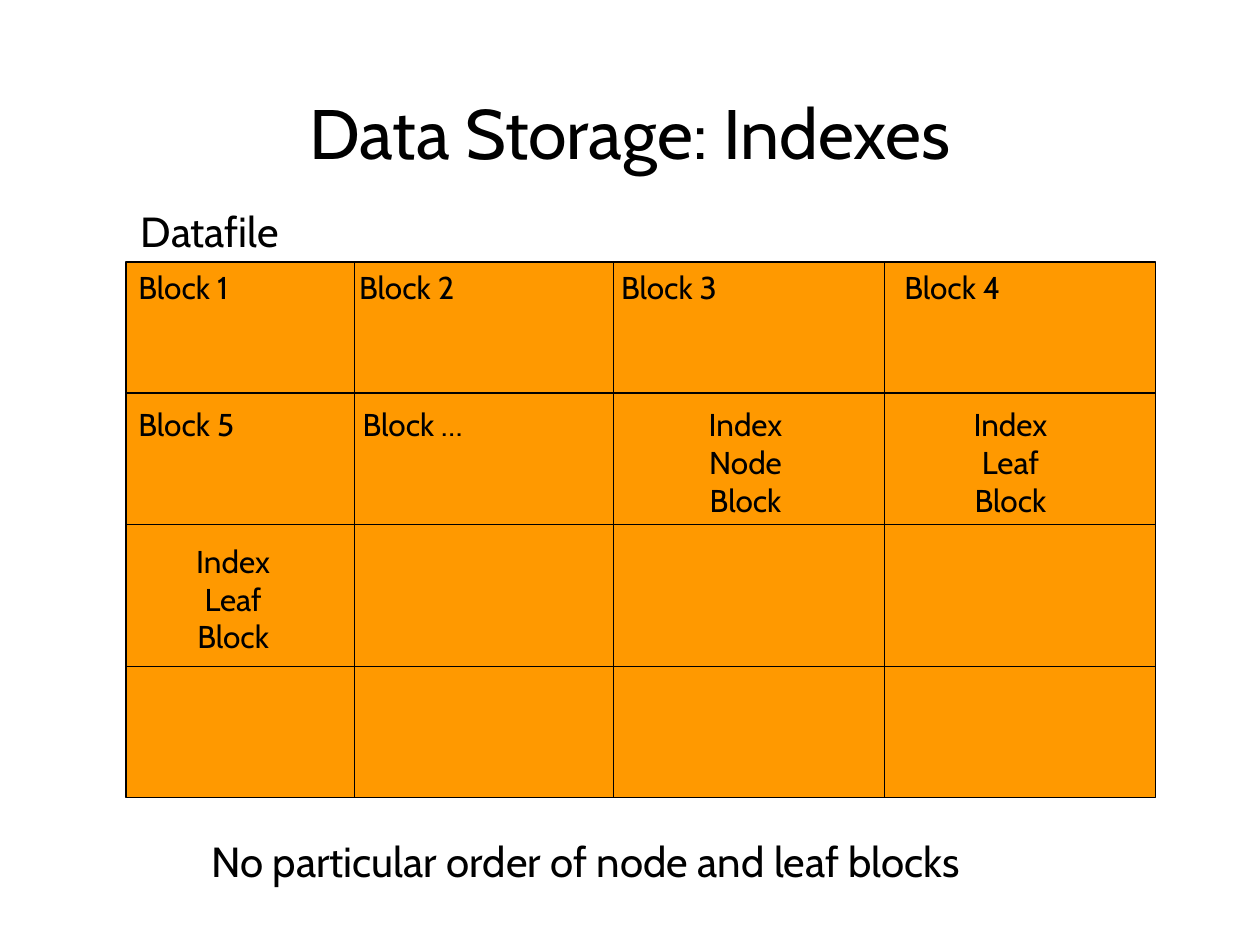
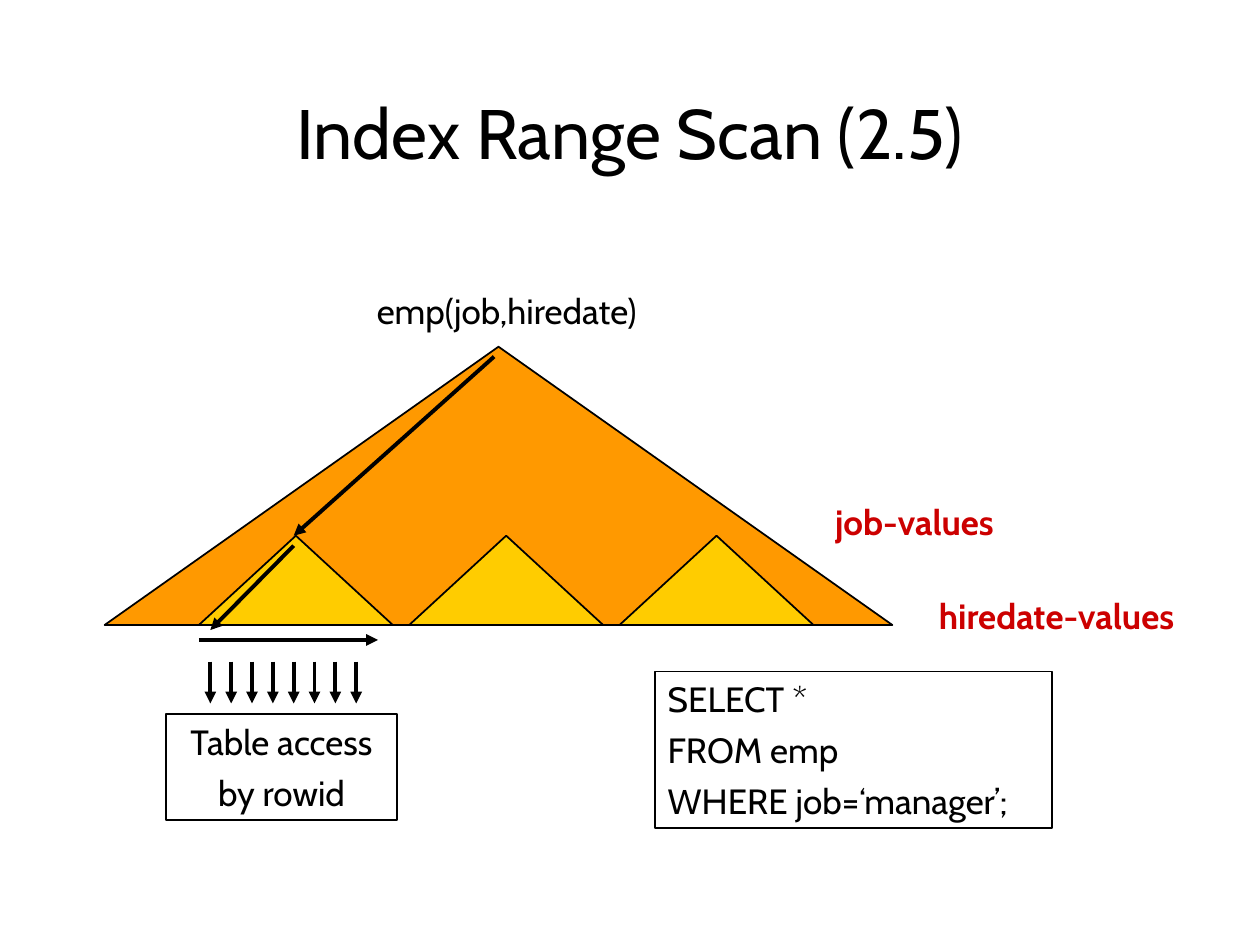
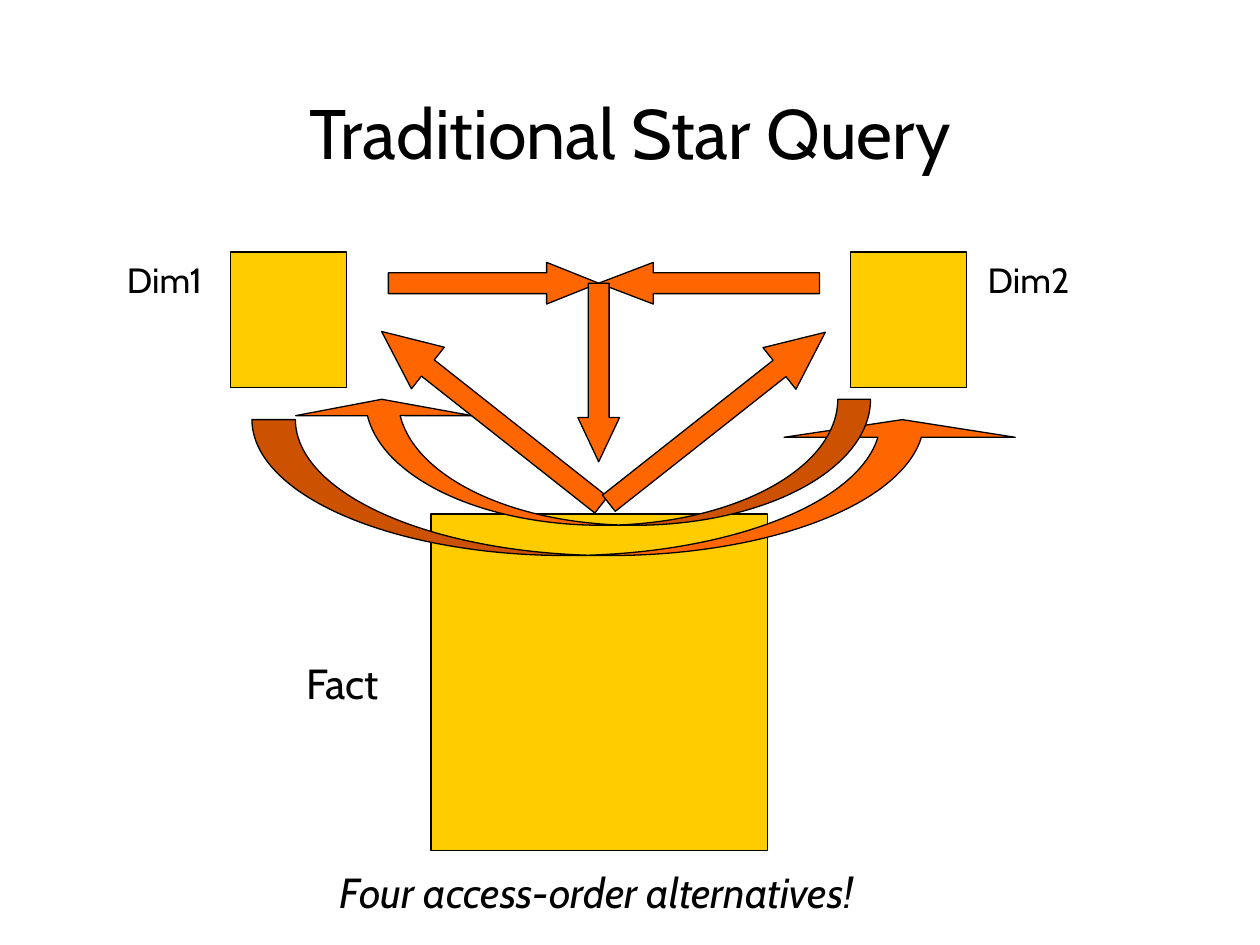
from lxml.etree import SubElement
from pptx import Presentation
from pptx.dml.color import RGBColor
from pptx.enum.shapes import MSO_CONNECTOR, MSO_SHAPE
from pptx.enum.text import MSO_ANCHOR, MSO_AUTO_SIZE, PP_ALIGN
from pptx.oxml.ns import qn
from pptx.util import Cm, Pt

BLACK = RGBColor(0x00, 0x00, 0x00)
RED = RGBColor(0xCC, 0x00, 0x00)
AMBER = RGBColor(0xFF, 0x99, 0x00)
YELLOW = RGBColor(0xFF, 0xCC, 0x00)
ORANGE = RGBColor(0xFF, 0x66, 0x00)
FONT = "Cabin"
TITLE_LAYOUT = 5
LEFT, CENTER = PP_ALIGN.LEFT, PP_ALIGN.CENTER


def write(frame, text, size=20, color=BLACK, bold=False, italic=False,
          align=LEFT, gap=0):
    for index, line in enumerate(text.split("\n")):
        para = frame.paragraphs[0] if index == 0 else frame.add_paragraph()
        para.alignment = align
        if index and gap:
            para.space_before = Pt(gap)
        span = para.add_run()
        span.text = line
        font = span.font
        font.name = FONT
        font.size = Pt(size)
        font.bold = bold
        font.italic = italic
        font.color.rgb = color


def outline(item, width):
    item.line.color.rgb = BLACK
    item.line.width = Pt(width)


def prepare_layout(deck):
    layout = deck.slide_layouts[TITLE_LAYOUT]
    title = layout.placeholders[0]
    title.left, title.top = Cm(1.9), Cm(1.7)
    title.width, title.height = Cm(21.6), Cm(1.9)
    return layout


def add_page(deck, layout, heading):
    page = deck.slides.add_slide(layout)
    frame = page.shapes.title.text_frame
    frame.vertical_anchor = MSO_ANCHOR.MIDDLE
    frame.auto_size = MSO_AUTO_SIZE.NONE
    write(frame, heading, size=40, align=CENTER)
    return page


def add_label(page, text, left, top, width, height, border=None, **style):
    box = page.shapes.add_textbox(Cm(left), Cm(top), Cm(width), Cm(height))
    frame = box.text_frame
    frame.word_wrap = False
    frame.auto_size = MSO_AUTO_SIZE.SHAPE_TO_FIT_TEXT
    write(frame, text, **style)
    if border:
        outline(box, border)


def add_figure(page, kind, left, top, width, height, fill, border=0.75,
               adjustments=(), rotation=0, mirrored=False):
    figure = page.shapes.add_shape(kind, Cm(left), Cm(top), Cm(width), Cm(height))
    figure.shadow.inherit = False
    figure.fill.solid()
    figure.fill.fore_color.rgb = fill
    outline(figure, border)
    for index, value in enumerate(adjustments):
        figure.adjustments[index] = value
    figure.rotation = rotation
    if mirrored:
        figure._element.spPr.xfrm.set("flipH", "1")


def add_line(page, start, end, width=0.75, arrow=False):
    line = page.shapes.add_connector(
        MSO_CONNECTOR.STRAIGHT, *[Cm(value) for value in (*start, *end)])
    outline(line, width)
    if arrow:
        SubElement(line.line._get_or_add_ln(), qn("a:tailEnd"), type="triangle")
    SubElement(line._element.spPr, qn("a:effectLst"))


def add_arrow(page, start, end):
    add_line(page, start, end, width=2.25, arrow=True)


def add_grid(page, columns, rows):
    left, right, top, bottom = columns[0], columns[-1], rows[0], rows[-1]
    add_figure(page, MSO_SHAPE.RECTANGLE, left, top, right - left, bottom - top, AMBER)
    for y in rows[1:-1]:
        add_line(page, (left, y), (right, y))
    for x in columns[1:-1]:
        add_line(page, (x, top), (x, bottom))


def fill_storage(page):
    add_grid(page, columns=(2.54, 7.14, 12.37, 17.83, 23.29),
             rows=(5.28, 7.92, 10.57, 13.44, 16.08))
    add_label(page, "Datafile", 2.59, 4.01, 3.58, 1.27, size=24)
    for text, left, top in (
        ("Block 1", 2.54, 5.28),
        ("Block 5", 2.54, 8.05),
        ("Block 2", 6.99, 5.28),
        ("Block 3", 12.27, 5.28),
        ("Block 4", 17.98, 5.28),
        ("Block …", 7.06, 8.05),
    ):
        add_label(page, text, left, top, 2.65, 1.02, size=18)
    for role, left, top in (
        ("Node", 13.94, 8.05),
        ("Leaf", 19.28, 8.05),
        ("Leaf", 3.61, 10.8),
    ):
        add_label(page, f"Index\n{role}\nBlock", left, top, 2.18, 2.54,
                  size=18, align=CENTER)
    add_label(page, "No particular order of node and leaf blocks",
              4.01, 16.71, 17.58, 1.27, size=24)


def fill_range_scan(page):
    triangle = MSO_SHAPE.FLOWCHART_EXTRACT
    add_figure(page, triangle, 2.11, 6.99, 15.88, 5.61, AMBER, border=1)
    for index in range(3):
        add_figure(page, triangle, 4.01 + 4.24 * index, 10.8, 3.91, 1.8,
                   YELLOW, border=1)
    add_arrow(page, (9.96, 7.19), (5.92, 10.8))
    add_arrow(page, (5.92, 11), (4.24, 12.7))
    add_arrow(page, (4.01, 12.9), (7.62, 12.9))
    add_label(page, "emp(job,hiredate)", 6.99, 5.72, 6.45, 1.12, align=CENTER)
    add_label(page, "job-values", 16.38, 9.96, 4.11, 1.12,
              color=RED, bold=True, align=CENTER)
    add_label(page, "hiredate-values", 18.29, 11.86, 6.02, 1.12,
              color=RED, bold=True, align=CENTER)
    add_label(page, "SELECT *\nFROM emp\nWHERE job=‘manager’;",
              13.21, 13.54, 8, 3.15, border=1, gap=5)
    for index in range(8):
        x = 4.24 + 0.42 * index
        add_arrow(page, (x, 13.34), (x, 14.18))
    add_label(page, "Table access\nby rowid", 3.35, 14.4, 4.65, 2.13,
              border=1, align=CENTER, gap=5)


def fill_star_query(page):
    for left, top, width, height in (
        (4.65, 5.08, 2.34, 2.74),
        (8.69, 10.36, 6.78, 6.78),
        (17.15, 5.08, 2.34, 2.74),
    ):
        add_figure(page, MSO_SHAPE.RECTANGLE, left, top, width, height, YELLOW)
    add_label(page, "Dim1", 2.31, 5.08, 2.26, 1.12)
    add_label(page, "Dim2", 19.66, 5.08, 2.26, 1.12)
    add_label(page, "Fact", 5.92, 13.13, 2.13, 1.27, size=24)
    add_label(page, "Four access-order alternatives!", 6.6, 17.35, 11.99, 1.27,
              size=24, italic=True)
    curve = MSO_SHAPE.CURVED_UP_ARROW
    add_figure(page, curve, 5.08, 8.46, 15.44, 2.74, ORANGE,
               adjustments=(0.32, 1.7, 0.13))
    add_figure(page, curve, 5.92, 8.05, 11.63, 2.54, ORANGE,
               adjustments=(0.26, 1.4, 0.13), mirrored=True)
    down = MSO_SHAPE.DOWN_ARROW
    add_figure(page, down, 9.37, 5.61, 1.07, 5.64, ORANGE,
               adjustments=(0.39, 1.11), rotation=128.3)
    add_figure(page, down, 13.92, 5.64, 1.07, 5.56, ORANGE,
               adjustments=(0.39, 1.1), rotation=231.7)
    add_figure(page, MSO_SHAPE.RIGHT_ARROW, 7.83, 5.29, 4.24, 0.84, ORANGE,
               adjustments=(0.5, 1.25))
    add_figure(page, MSO_SHAPE.LEFT_ARROW, 12.07, 5.29, 4.45, 0.84, ORANGE,
               adjustments=(0.5, 1.31))
    add_figure(page, down, 11.65, 5.71, 0.84, 3.6, ORANGE,
               adjustments=(0.5, 1.06))


def main():
    deck = Presentation()
    deck.slide_width, deck.slide_height = Cm(25.4), Cm(19.05)
    layout = prepare_layout(deck)
    for heading, fill_page in (
        ("Data Storage: Indexes", fill_storage),
        ("Index Range Scan (2.5)", fill_range_scan),
        ("Traditional Star Query", fill_star_query),
    ):
        fill_page(add_page(deck, layout, heading))
    deck.save("out.pptx")


if __name__ == "__main__":
    main()
